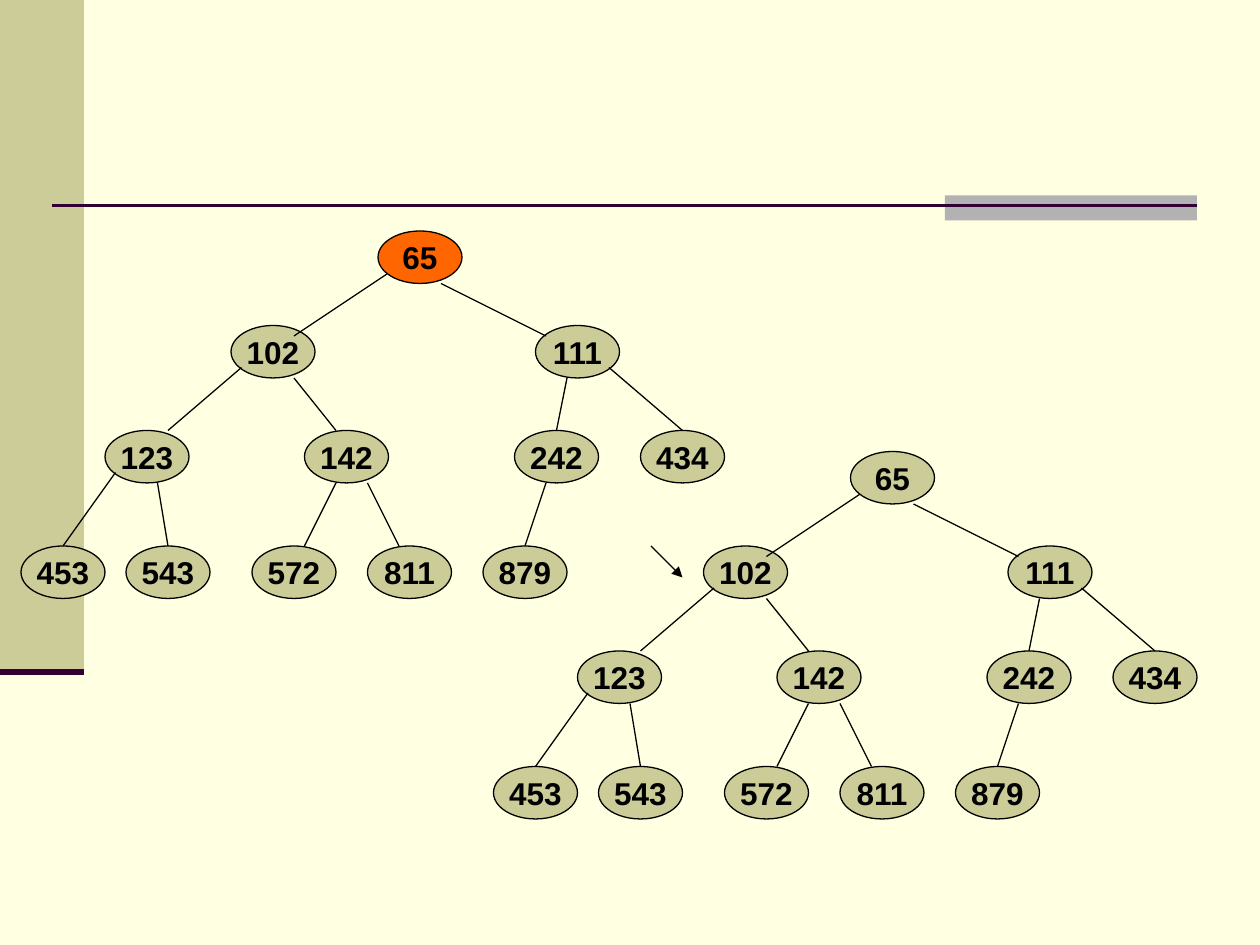
"""Build a slide with one heap drawn twice, the first with its root marked."""
from lxml import etree
from pptx import Presentation
from pptx.dml.color import RGBColor
from pptx.enum.shapes import MSO_CONNECTOR, MSO_SHAPE
from pptx.enum.text import MSO_ANCHOR, PP_ALIGN
from pptx.oxml.ns import qn
from pptx.util import Pt

LINE = MSO_CONNECTOR.STRAIGHT
RECT, OVAL = MSO_SHAPE.RECTANGLE, MSO_SHAPE.OVAL
MIDDLE, CENTER = MSO_ANCHOR.MIDDLE, PP_ALIGN.CENTER

CREAM, SAND, GREY = "FFFFE1", "CCCC99", "B2B2B2"
PLUM, BLACK, ORANGE = "330033", "000000", "FF6600"
WIDE, HIGH = 48, 30

ROOT = ("65", 216, 132)
LEVELS = [
    (186, [("102", 132), ("111", 306)]),
    (246, [("123", 60), ("142", 174), ("242", 294), ("434", 366)]),
    (312, [("453", 12), ("543", 72), ("572", 144), ("811", 210), ("879", 276)]),
]
EDGES = [
    (222, 156, 168, 192), (252, 162, 312, 192),
    (138, 210, 96, 246), (168, 216, 192, 246),
    (324, 216, 318, 246), (348, 210, 390, 246),
    (66, 270, 36, 312), (90, 276, 96, 312),
    (192, 276, 174, 312), (210, 276, 228, 312), (312, 276, 300, 312),
]
TREES = [(0, 0, ORANGE), (270, 126, SAND)]
ARROW = (372, 312, 390, 330)


def color(code):
    return RGBColor.from_string(code)


def add_box(slide, kind, x, y, w, h, fill):
    box = slide.shapes.add_shape(kind, Pt(x), Pt(y), Pt(w), Pt(h))
    box.shadow.inherit = False
    box.fill.solid()
    box.fill.fore_color.rgb = color(fill)
    box.line.fill.background()
    return box


def add_line(slide, x1, y1, x2, y2, tint=BLACK, width=0.75):
    line = slide.shapes.add_connector(LINE, Pt(x1), Pt(y1), Pt(x2), Pt(y2))
    line.line.color.rgb = color(tint)
    line.line.width = Pt(width)
    etree.SubElement(line._element.spPr, qn("a:effectLst"))
    return line


def add_node(slide, text, x, y, fill=SAND):
    node = add_box(slide, OVAL, x, y, WIDE, HIGH, fill)
    node.line.color.rgb = color(BLACK)
    node.line.width = Pt(0.75)
    frame = node.text_frame
    frame.word_wrap = False
    frame.vertical_anchor = MIDDLE
    para = frame.paragraphs[0]
    para.alignment = CENTER
    run = para.add_run()
    run.text = text
    run.font.name = "Arial"
    run.font.size = Pt(18)
    run.font.bold = True
    run.font.color.rgb = color(BLACK)


def add_tree(slide, dx, dy, fill):
    for top, nodes in LEVELS:
        for text, left in nodes:
            add_node(slide, text, left + dx, top + dy)
    for x1, y1, x2, y2 in EDGES:
        add_line(slide, x1 + dx, y1 + dy, x2 + dx, y2 + dy)
    text, left, top = ROOT
    add_node(slide, text, left + dx, top + dy, fill)


def main():
    deck = Presentation()
    deck.slide_width, deck.slide_height = Pt(720), Pt(540)
    slide = deck.slides.add_slide(deck.slide_layouts[6])
    slide.background.fill.solid()
    slide.background.fill.fore_color.rgb = color(CREAM)

    add_box(slide, RECT, 0, 0, 48, 384, SAND)
    add_box(slide, RECT, 540, 111.6, 144, 14.4, GREY)
    add_line(slide, 30, 117.5, 684, 117.5, PLUM, 1.5)
    add_line(slide, 0, 384, 48, 384, PLUM, 3.5)

    for tree in TREES:
        add_tree(slide, *tree)
    arrow = add_line(slide, *ARROW)
    etree.SubElement(arrow.line._get_or_add_ln(), qn("a:tailEnd"), type="triangle")
    deck.save("out.pptx")


if __name__ == "__main__":
    main()
